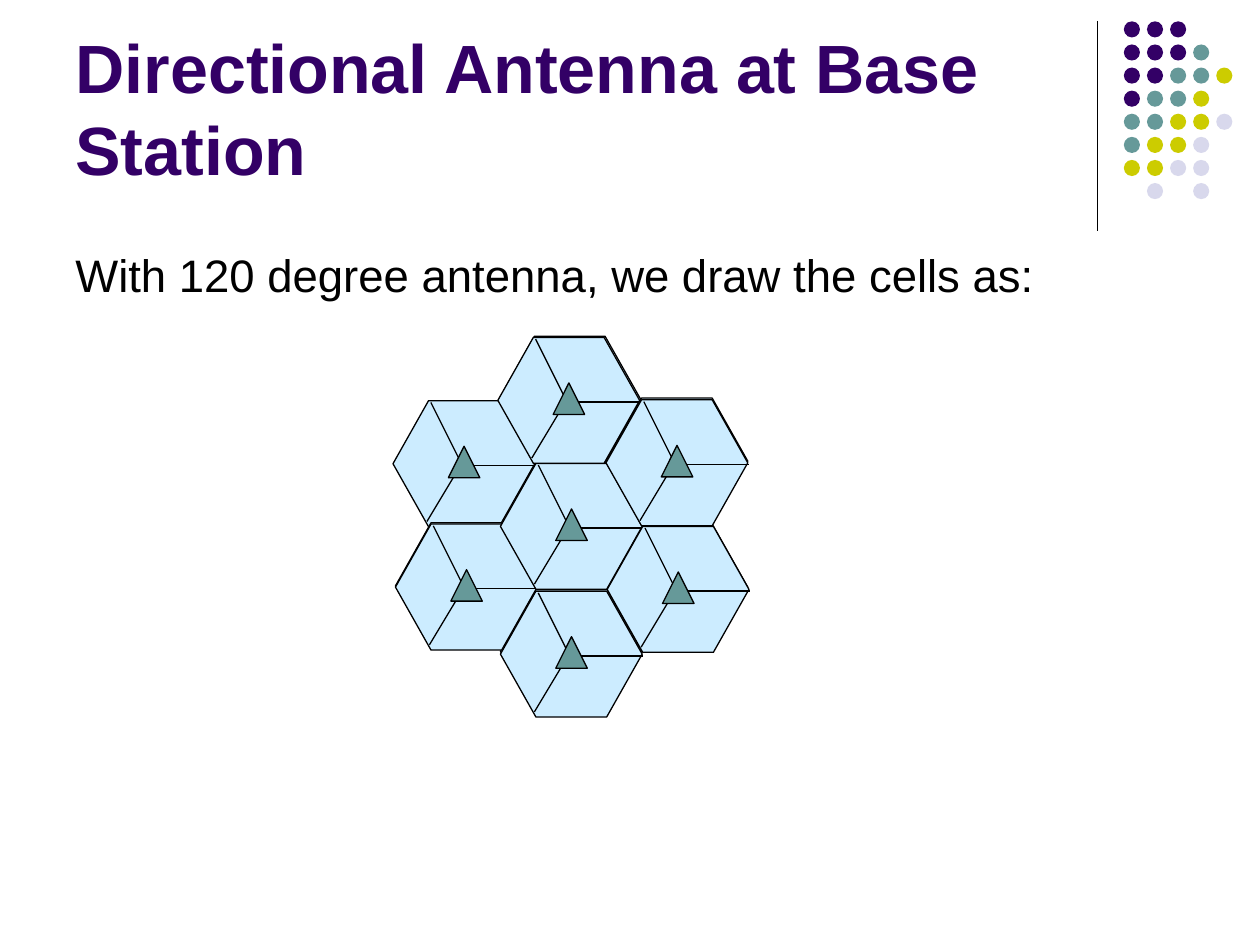
import pptx
import pptx.util
import pptx.dml.color
import pptx.enum.shapes
import pptx.enum.text
import pptx.oxml.ns
import lxml.etree

Pt = pptx.util.Pt
RGBColor = pptx.dml.color.RGBColor
MSO_SHAPE = pptx.enum.shapes.MSO_SHAPE
MSO_ANCHOR = pptx.enum.text.MSO_ANCHOR

PURPLE = RGBColor(0x33, 0x00, 0x66)
TEAL = RGBColor(0x66, 0x99, 0x99)
OLIVE = RGBColor(0xCC, 0xCC, 0x00)
LAVENDER = RGBColor(0xD8, 0xD8, 0xEC)
SKY = RGBColor(0xCC, 0xEC, 0xFF)
BLACK = RGBColor(0x00, 0x00, 0x00)

prs = pptx.Presentation()
prs.slide_width = Pt(720)
prs.slide_height = Pt(540)
s = prs.slides.add_slide(prs.slide_layouts[6])


def add_shape(kind, x, y, w, h, color, outlined=True):
    sp = s.shapes.add_shape(kind, Pt(x), Pt(y), Pt(w), Pt(h))
    sp.shadow.inherit = False
    sp.fill.solid()
    sp.fill.fore_color.rgb = color
    if outlined:
        sp.line.color.rgb = BLACK
        sp.line.width = Pt(0.75)
    else:
        sp.line.fill.background()
    if kind == MSO_SHAPE.HEXAGON:
        sp.adjustments[0] = 0.282


def add_line(x1, y1, x2, y2):
    c = s.shapes.add_connector(
        pptx.enum.shapes.MSO_CONNECTOR.STRAIGHT, Pt(x1), Pt(y1), Pt(x2), Pt(y2))
    c.line.color.rgb = BLACK
    c.line.width = Pt(0.75)
    lxml.etree.SubElement(c._element.spPr, pptx.oxml.ns.qn("a:effectLst"))


add_line(627, 12, 627, 132)

dot_colors = {"P": PURPLE, "T": TEAL, "O": OLIVE, "L": LAVENDER}
dot_rows = ["PPP", "PPPT", "PPTTO", "PTTO", "TTOOL", "TOOL", "OOLL", " L L"]
for row, codes in enumerate(dot_rows):
    for col, code in enumerate(codes):
        if code in dot_colors:
            add_shape(MSO_SHAPE.OVAL, 642.2 + 13.2 * col, 12.2 + 13.2 * row,
                      9.2, 9.2, dot_colors[code], outlined=False)

texts = [
    ("Directional Antenna at Base Station", 9.4, 594, 102.2, 39, PURPLE, True, MSO_ANCHOR.BOTTOM),
    ("With 120 degree antenna, we draw the cells as:", 137.5, 648, 345, 26, BLACK, False, MSO_ANCHOR.TOP),
]
for text, y, w, h, size, color, bold, anchor in texts:
    tf = s.shapes.add_textbox(Pt(36), Pt(y), Pt(w), Pt(h)).text_frame
    tf.word_wrap = True
    tf.vertical_anchor = anchor
    tf.text = text
    p = tf.paragraphs[0]
    p.line_spacing = Pt(size * 1.2)
    r = p.runs[0]
    r.font.name = "Arial"
    r.font.size = Pt(size)
    r.font.bold = bold
    r.font.color.rgb = color

HEX_W, HEX_H = 81, 72
back_cells = [(224.6, 229), (226, 298.8), (286, 336.2), (287.3, 264.2),
              (285.1, 192.2), (346.3, 227.5), (346.3, 299.5)]
for x, y in back_cells:
    add_shape(MSO_SHAPE.HEXAGON, x, y, HEX_W, HEX_H, SKY)

cells = [(224.6, 229), (226, 299.5), (286, 264.8), (284.5, 192.8),
         (346.3, 228.5), (347, 300.8), (286, 337.8)]
sector_lines = [(21.6, 1, 39.6, 37), (39.6, 37, 81.5, 37), (37.4, 39, 19.4, 69)]
for x, y in cells:
    if (x, y) not in back_cells:
        add_shape(MSO_SHAPE.HEXAGON, x, y, HEX_W, HEX_H, SKY)
    for x1, y1, x2, y2 in sector_lines:
        add_line(x + x1, y + y1, x + x2, y + y2)
    add_shape(MSO_SHAPE.ISOSCELES_TRIANGLE, x + 31.6, y + 26, 18, 18, TEAL)

prs.save("out.pptx")
